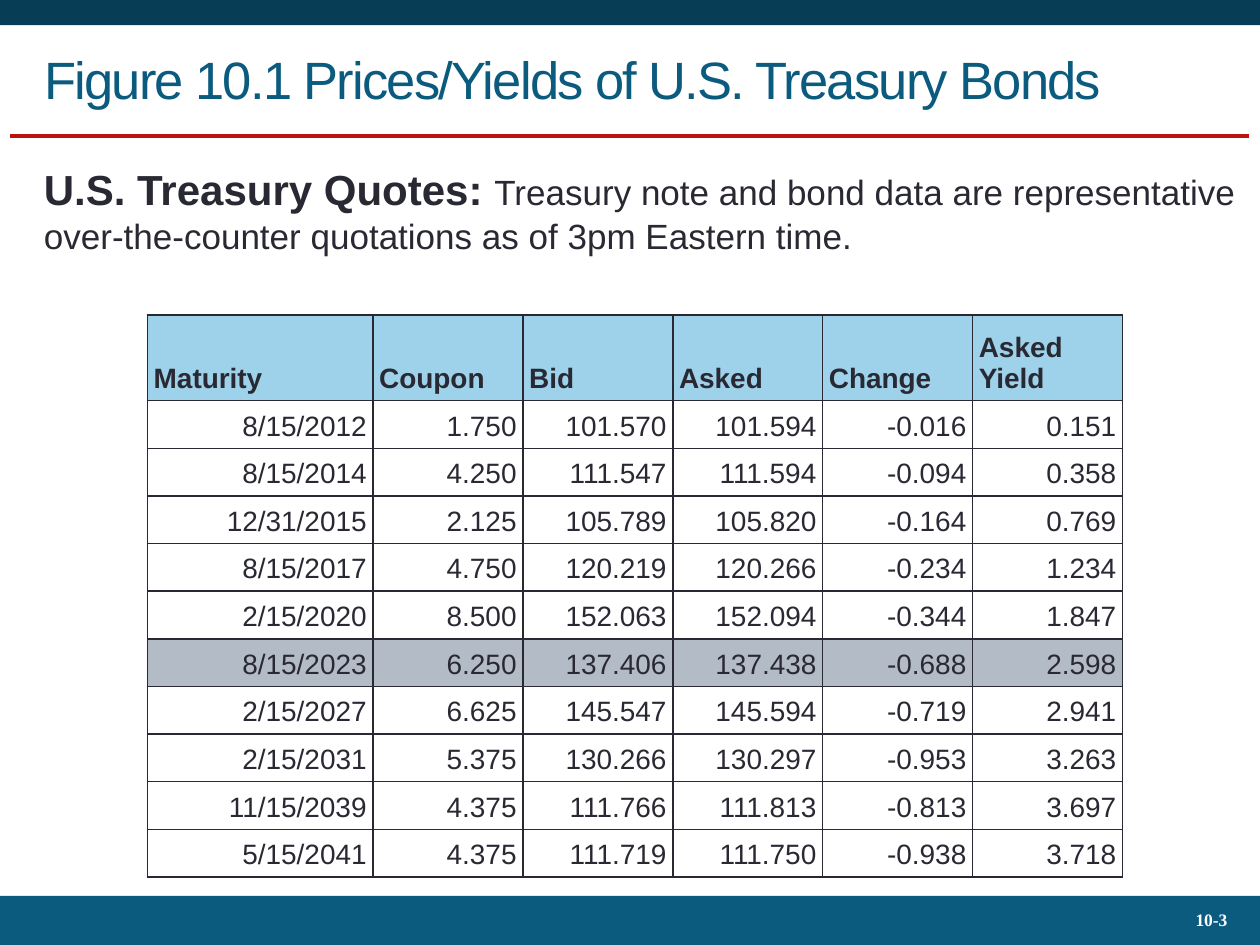
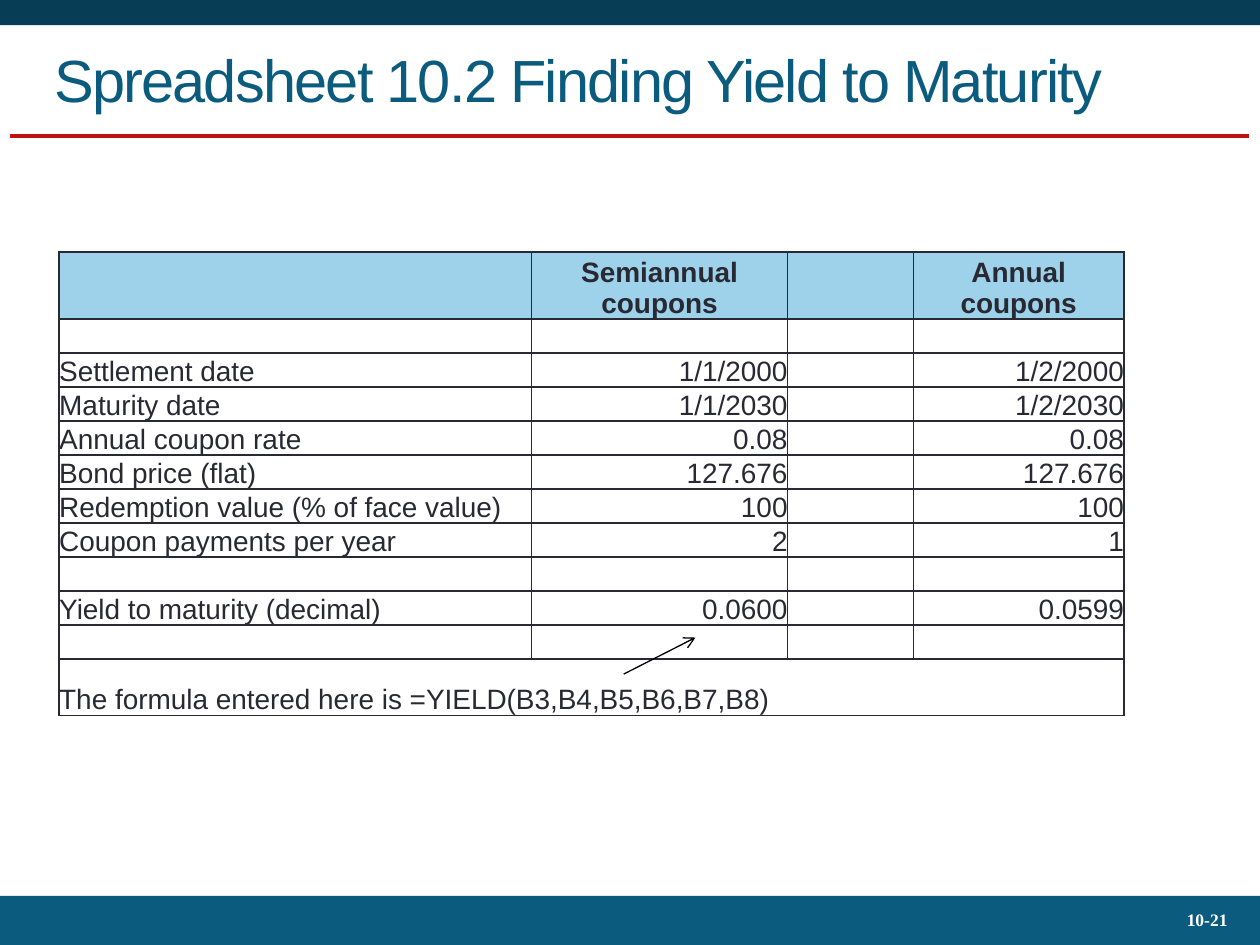
import pptx
import pptx.dml.color
import pptx.enum.shapes
import pptx.enum.text
import pptx.oxml
import pptx.oxml.ns
import pptx.util

Inches = pptx.util.Inches
Pt = pptx.util.Pt
Align = pptx.enum.text.PP_ALIGN
Anchor = pptx.enum.text.MSO_ANCHOR

COLOURS = {
    "top_band": "073D55",
    "primary": "0B5B7F",
    "rule": "BD130F",
    "text": "292934",
    "header": "9ED1EA",
    "highlight": "B3BBC6",
    "white": "FFFFFF",
    "black": "000000",
}

QUOTES = [
    ["Maturity", "Coupon", "Bid", "Asked", "Change", "Asked Yield"],
    ["8/15/2012", "1.750", "101.570", "101.594", "-0.016", "0.151"],
    ["8/15/2014", "4.250", "111.547", "111.594", "-0.094", "0.358"],
    ["12/31/2015", "2.125", "105.789", "105.820", "-0.164", "0.769"],
    ["8/15/2017", "4.750", "120.219", "120.266", "-0.234", "1.234"],
    ["2/15/2020", "8.500", "152.063", "152.094", "-0.344", "1.847"],
    ["8/15/2023", "6.250", "137.406", "137.438", "-0.688", "2.598"],
    ["2/15/2027", "6.625", "145.547", "145.594", "-0.719", "2.941"],
    ["2/15/2031", "5.375", "130.266", "130.297", "-0.953", "3.263"],
    ["11/15/2039", "4.375", "111.766", "111.813", "-0.813", "3.697"],
    ["5/15/2041", "4.375", "111.719", "111.750", "-0.938", "3.718"],
]
HIGHLIGHT_ROW = 6

BLANK = [""] * 4
YIELD_SHEET = [
    ["", "Semiannual coupons", "", "Annual coupons"],
    BLANK,
    ["Settlement date", "1/1/2000", "", "1/2/2000"],
    ["Maturity date", "1/1/2030", "", "1/2/2030"],
    ["Annual coupon rate", "0.08", "", "0.08"],
    ["Bond price (flat)", "127.676", "", "127.676"],
    ["Redemption value (% of face value)", "100", "", "100"],
    ["Coupon payments per year", "2", "", "1"],
    BLANK,
    ["Yield to maturity (decimal)", "0.0600", "", "0.0599"],
    BLANK,
    ["The formula entered here is =YIELD(B3,B4,B5,B6,B7,B8)", "", "", ""],
]


def colour(name):
    return pptx.dml.color.RGBColor.from_string(COLOURS[name])


def box(left, top, width, height):
    return [Inches(value) for value in (left, top, width, height)]


class Deck:
    def __init__(self):
        self.presentation = pptx.Presentation()
        self.presentation.slide_width = Inches(10)
        self.presentation.slide_height = Inches(7.5)
        self.slide = None

    def start_slide(self, title, size, left, width, number):
        layout = self.presentation.slide_layouts[5]
        self.slide = self.presentation.slides.add_slide(layout)
        self.band(0, 0.2, "top_band")
        self.line((0.08, 1.08), (9.91, 1.08), "rule", 2.25)
        self.band(7.11, 0.4, "primary")
        paragraph = self.text(box(8.67, 7.13, 1.17, 0.36), Anchor.MIDDLE)
        paragraph.alignment = Align.RIGHT
        paragraph.line_spacing = 0.93
        self.run(paragraph, number, 10, "white", True, "Times New Roman")
        self.title(title, size, left, width)

    def title(self, text, size, left, width):
        shape = self.slide.shapes.title
        shape.left, shape.top, shape.width, shape.height = box(left, 0.17, width, 0.91)
        frame = shape.text_frame
        frame.auto_size = pptx.enum.text.MSO_AUTO_SIZE.NONE
        frame.vertical_anchor = Anchor.MIDDLE
        paragraph = frame.paragraphs[0]
        paragraph.alignment = Align.LEFT
        run = self.run(paragraph, text, size, "primary")
        run.font._element.set("spc", "-100")

    def run(self, paragraph, text, size, shade="text", bold=False, font="Arial"):
        run = paragraph.add_run()
        run.text = text
        run.font.name = font
        run.font.size = Pt(size)
        run.font.bold = bold
        run.font.color.rgb = colour(shade)
        return run

    def text(self, place, anchor=Anchor.TOP):
        frame = self.slide.shapes.add_textbox(*place).text_frame
        frame.word_wrap = True
        frame.vertical_anchor = anchor
        return frame.paragraphs[0]

    def band(self, top, height, shade):
        shape = self.slide.shapes.add_shape(
            pptx.enum.shapes.MSO_SHAPE.RECTANGLE, *box(0, top, 10, height))
        shape.shadow.inherit = False
        shape.fill.solid()
        shape.fill.fore_color.rgb = colour(shade)
        shape.line.fill.background()

    def line(self, start, end, shade, width, arrow=False):
        connector = self.slide.shapes.add_connector(
            pptx.enum.shapes.MSO_CONNECTOR.STRAIGHT, *box(*start, *end))
        connector.line.color.rgb = colour(shade)
        connector.line.width = Pt(width)
        properties = connector._element.spPr
        if arrow:
            head = pptx.oxml.parse_xml(
                f'<a:headEnd {pptx.oxml.ns.nsdecls("a")} type="arrow"/>')
            connector.line._get_or_add_ln().append(head)
        properties.append(pptx.oxml.parse_xml(
            f'<a:effectLst {pptx.oxml.ns.nsdecls("a")}/>'))

    def table(self, place, rows, widths, header_height, last_height=None):
        shape = self.slide.shapes.add_table(len(rows), len(widths), *box(*place))
        table = shape.table
        table.first_row = table.horz_banding = False
        for column, width in zip(table.columns, widths):
            column.width = Inches(width)
        fixed = {0: header_height}
        if last_height:
            fixed[len(rows) - 1] = last_height
        shared = (place[3] - sum(fixed.values())) / (len(rows) - len(fixed))
        for index, row in enumerate(table.rows):
            row.height = Inches(fixed.get(index, shared))
        return table

    def cell(self, cell, text, align, bold=False, fill=None, margin=0.0):
        cell.vertical_anchor = Anchor.BOTTOM
        cell.margin_left = cell.margin_right = Inches(margin)
        cell.margin_top = cell.margin_bottom = Inches(margin)
        paragraph = cell.text_frame.paragraphs[0]
        paragraph.alignment = align
        if text:
            self.run(paragraph, text, 16, bold=bold)
        else:
            paragraph._p.get_or_add_endParaRPr().set("sz", "1600")
        properties = cell._tc.get_or_add_tcPr()
        for side in "LRTB":
            properties.append(pptx.oxml.parse_xml(
                f'<a:ln{side} {pptx.oxml.ns.nsdecls("a")} w="12700"><a:solidFill>'
                f'<a:srgbClr val="{COLOURS["text"]}"/></a:solidFill></a:ln{side}>'))
        if fill:
            cell.fill.solid()
            cell.fill.fore_color.rgb = colour(fill)
        else:
            cell.fill.background()


def treasury_quotes(deck):
    deck.start_slide("Figure 10.1 Prices/Yields of U.S. Treasury Bonds",
                     30, 0.25, 9.5, "10-3")
    table = deck.table((1.17, 2.5, 7.75, 4.46), QUOTES, [1.79] + [1.19] * 5, 0.68)
    fills = {0: "header", HIGHLIGHT_ROW: "highlight"}
    for row, values in enumerate(QUOTES):
        align = Align.RIGHT if row else Align.LEFT
        for column, value in enumerate(values):
            deck.cell(table.cell(row, column), value, align,
                      row == 0, fills.get(row), 0.05)
    paragraph = deck.text(box(0.25, 1.25, 9.75, 0.84))
    deck.run(paragraph, "U.S. Treasury Quotes: ", 24, bold=True)
    deck.run(paragraph, "Treasury note and bond data are representative "
             "over-the-counter quotations as of 3pm Eastern time.", 20)


def yield_spreadsheet(deck):
    deck.start_slide("Spreadsheet 10.2 Finding Yield to Maturity",
                     34, 0.33, 9.35, "10-21")
    table = deck.table((0.47, 2, 8.45, 3.65), YIELD_SHEET,
                       [3.75, 2.03, 1, 1.67], 0.5, 0.45)
    for row, values in enumerate(YIELD_SHEET):
        for column, value in enumerate(values):
            align = Align.RIGHT if column else Align.LEFT
            deck.cell(table.cell(row, column), value,
                      align if row else Align.CENTER,
                      row == 0, None if row else "header")
    last = len(YIELD_SHEET) - 1
    table.cell(last, 0).merge(table.cell(last, 3))
    deck.line((5.52, 5.06), (4.95, 5.35), "black", 0.75, arrow=True)


def main():
    deck = Deck()
    treasury_quotes(deck)
    yield_spreadsheet(deck)
    deck.presentation.save("out.pptx")


if __name__ == "__main__":
    main()
